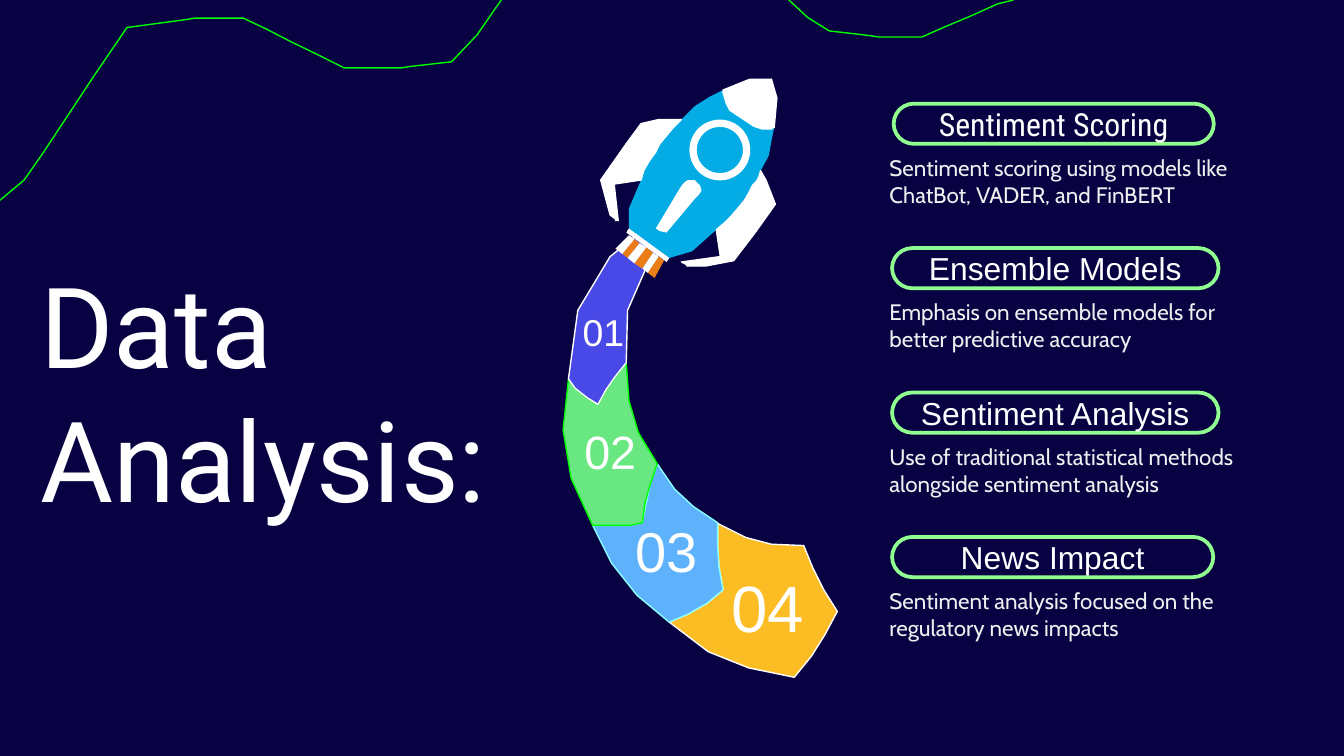
from pptx import Presentation
from pptx.dml.color import RGBColor
from pptx.enum.shapes import MSO_SHAPE
from pptx.enum.text import MSO_ANCHOR, MSO_AUTO_SIZE, PP_ALIGN
from pptx.util import Cm, Pt

UNIT = Cm(0.0254)  # one step of the drawing grid
NAVY, WHITE, LIME = "080243", "FFFFFF", "00FF00"
MINT, PALE, CYAN, RUST = "90FF90", "EFEFEF", "03ACE5", "EB7D16"

# Each path is a start point, then "x,y" lines and six-number Bezier curves.
WAVES = [
    "373,0 355,26 336,46 305,49.5 299,50.5 293,50.5 287,50.5"
    " 256,50.5 236,40.5 216.5,31 198,21.5 181,13.5 155,13.5"
    " 150,13.5 145,13.5 139,14.5 94.5,20.5 70,56.5 46.5,92 32,114 18,134 0,149",
    "587,0 601,13 617,23 639,25.5 647,26.5 654,27.5 661,27.5"
    " 686,27.5 703,20 721,12.5 731,8 742,3 754,0",
]

# number, size, text left and top, fill, line, path
STEPS = [
    ("04", 35, 134, 425, "FCBD24", WHITE,
     "133,389 134,389 134,406 135,422 138,439 126,449 112,457 98,463"
     " 127,485 157,497 191,504 204,488 214,472 223,455"
     " 213,439 205,423 198,406 174,405 155,400 133,389"),
    ("03", 30, 59, 383, "5EB2FC", "89FFFF",
     "89,345 84,360 81,374 78,389 69,391 60,391 51,391 48,391 44,391 41,391"
     " 55,419 74,443 98,463 112,457 126,449 138,439"
     " 135,422 134,406 134,389 116,377 102,364 89,345"),
    ("02", 25, 17, 309, "69E781", LIME,
     "66,270 58,280 51,290 45,301 37,296 28,289 23,282 19,320 25,356 41,391"
     " 44,391 48,391 51,391 60,391 69,391 78,389 80,374 84,360 89,345"
     " 75,322 68,298 66,270"),
    ("01", 20, 12, 220, "4949E7", WHITE,
     "95,158 54,191 30,231 23,282 28,289 37,296 45,301 51,290 58,280 66,270"
     " 67,231 81,199 106,170 101,165 99,163 95,158"),
]

HULL = ("138,67 128,72 117,79 107,89 105,91 103,93 101,95 96,101 91,107 88,113"
        " 83,120 79,127 77,134 68,155 68,170 68,170 98,192"
        " 98,192 115,187 133,171 139,166 144,161 150,154 153,149 157,144 160,138"
        " 163,135 165,131 166,127 172,116 174,105 176,95 175,95 174,96 171,96"
        " 167,96 161,94 153,88 143,82 140,76 139,72 138,69 138,68 138,67")
FLAMES = [
    (RUST, "90,191 82,203 87,207 94,194"),
    (RUST, "81,184 72,196 78,200 86,188"),
    (RUST, "72,178 63,189 67,192 76,181"),
    (WHITE, "86,188 78,200 82,203 90,191"),
    (WHITE, "76,181 67,192 72,196 81,184"),
    (WHITE, "68,175 58,185 63,189 72,178"),
    (WHITE, "68,170 66,173 96,195 98,192"),
    (WHITE, "114,134 112,134 110,135 108,137 106,140 88,170 91,172"
            " 96,173 117,148 120,145 122,142 121,138 118,135 117,134 115,134 114,134"),
]
FINS = [
    "166,127 165,131 163,135 160,138 157,144 154,149 150,154"
    " 150,154 149,189 111,197 111,198 113,198 116,198"
    " 125,198 146,194 162,173 177,152 170,134 166,127",
    "150,154 144,161 139,166 133,171 136,191 107,195 111,197 149,189 150,154 150,154",
    "174,59 174,59 168,76 152,76 148,76 144,75 139,72"
    " 140,76 143,82 152,88 161,94 167,96 171,96 174,96 175,95 176,95"
    " 178,73 174,59 174,59",
    "174,59 173,59 158,59 138,67 138,68 138,69 139,72"
    " 144,75 148,76 152,76 168,76 174,59 174,59",
    "88,113 88,113 54,124 58,163 58,163 58,164 58,164"
    " 60,164 57,137 77,134 79,127 83,120 88,113",
    "100,89 90,89 77,92 66,107 47,134 54,160 58,163 54,124 88,113 88,113"
    " 91,107 96,101 101,95 103,93 105,91 107,89 105,89 102,89 100,89",
]

# title, font, pill inset, pill width, text, text width
TOPICS = [
    ("Sentiment Scoring", "Roboto Condensed", 0.33, 6.05,
     "Sentiment scoring using models like ChatBot, VADER, and FinBERT", 7.01),
    ("Ensemble Models", "Arial", 0.3, 6.17,
     "Emphasis on ensemble models for better predictive accuracy", 7.01),
    ("Sentiment Analysis", "Arial", 0.3, 6.17,
     "Use of traditional statistical methods alongside sentiment analysis", 7.32),
    ("News Impact", "Arial", 0.3, 6.07,
     "Sentiment analysis focused on the regulatory news impacts", 7.16),
]


def tint(code):
    return RGBColor.from_string(code)


def paint(shape, fill=None, line=None, width=0.75):
    shape.shadow.inherit = False
    if fill:
        shape.fill.solid()
        shape.fill.fore_color.rgb = tint(fill)
    else:
        shape.fill.background()
    if line:
        shape.line.color.rgb = tint(line)
        shape.line.width = Pt(width)
    else:
        shape.line.fill.background()


def trace(path, steps=12):
    """Turn a path into a list of points, curves sampled evenly."""
    dots = []
    for part in path.split():
        nums = [float(n) for n in part.split(",")]
        if len(nums) == 2:
            dots.append(tuple(nums))
            continue
        ends = [dots[-1], *zip(nums[::2], nums[1::2])]
        for i in range(1, steps + 1):
            t = i / steps
            mix = ((1 - t) ** 3, 3 * t * (1 - t) ** 2, 3 * t * t * (1 - t), t ** 3)
            dots.append(tuple(sum(m * p[k] for m, p in zip(mix, ends)) for k in (0, 1)))
    return dots


def draw(shapes, box, path, fill=None, line=None):
    left, top = box
    dots = [(left + x * UNIT, top + y * UNIT) for x, y in trace(path)]
    pen = shapes.build_freeform(*dots[0], scale=1.0)
    pen.add_line_segments(dots[1:], close=bool(fill))
    paint(pen.convert_to_shape(), fill, line)


def write(shape, text, size, font, color=WHITE, align=PP_ALIGN.LEFT,
          anchor=MSO_ANCHOR.MIDDLE, side=0.25):
    frame = shape.text_frame
    frame.word_wrap = True
    frame.auto_size = MSO_AUTO_SIZE.NONE
    frame.vertical_anchor = anchor
    frame.margin_left = frame.margin_right = Cm(side)
    frame.margin_top = frame.margin_bottom = Cm(0.25)
    para = frame.paragraphs[0]
    para.alignment = align
    run = para.add_run()
    run.text = text
    run.font.size = Pt(size)
    run.font.name = font
    run.font.color.rgb = tint(color)


def add_title(slide, left, top, width, height):
    title = slide.shapes.title
    title.left, title.top, title.width, title.height = left, top, width, height
    write(title, "Data Analysis:", 60, "Roboto")


def add_trail(slide, box):
    left, top = box
    for label, size, x, y, fill, line, path in STEPS:
        group = slide.shapes.add_group_shape().shapes
        draw(group, box, path, fill, line)
        text = group.add_textbox(left + x * UNIT, top + y * UNIT, Cm(1.88), Cm(1.35))
        write(text, label, size, "Arial", align=PP_ALIGN.CENTER, side=0)


def add_rocket(slide, box):
    left, top = box
    group = slide.shapes.add_group_shape().shapes
    draw(group, box, HULL, CYAN)
    for fill, path in FLAMES:
        draw(group, box, path, fill)
    ring = group.add_shape(MSO_SHAPE.DONUT, left + 113 * UNIT, top + 89 * UNIT,
                           Cm(1.15), Cm(1.15))
    ring.adjustments[0] = 0.12
    paint(ring, WHITE)
    for path in FINS:
        draw(group, box, path, WHITE, WHITE)


def add_topic(slide, left, top, topic):
    head, font, inset, wide, body, span = topic
    group = slide.shapes.add_group_shape().shapes
    text = group.add_textbox(left, top + Cm(0.7), Cm(span), Cm(1.47))
    write(text, body, 12, "Cabin", PALE, anchor=MSO_ANCHOR.TOP)
    pill = group.add_shape(MSO_SHAPE.ROUNDED_RECTANGLE, left + Cm(inset), top,
                           Cm(wide), Cm(0.76))
    pill.adjustments[0] = 0.5
    paint(pill, NAVY, MINT, 2)
    write(pill, head, 17, font, align=PP_ALIGN.CENTER)


def main():
    deck = Presentation()
    deck.slide_width, deck.slide_height = Cm(25.4), Cm(14.29)
    slide = deck.slides.add_slide(deck.slide_layouts[5])
    slide.background.fill.solid()
    slide.background.fill.fore_color.rgb = tint(NAVY)
    for path in WAVES:
        draw(slide.shapes, (Cm(0), Cm(0)), path, line=LIME)
    box = Cm(10.16), Cm(0)
    add_trail(slide, box)
    for i, topic in enumerate(TOPICS):
        add_topic(slide, Cm(16.56), Cm(1.96 + 2.73 * i), topic)
    add_rocket(slide, box)
    add_title(slide, Cm(0.51), Cm(6.38), Cm(11.46), Cm(2.01))
    deck.save("out.pptx")


if __name__ == "__main__":
    main()
